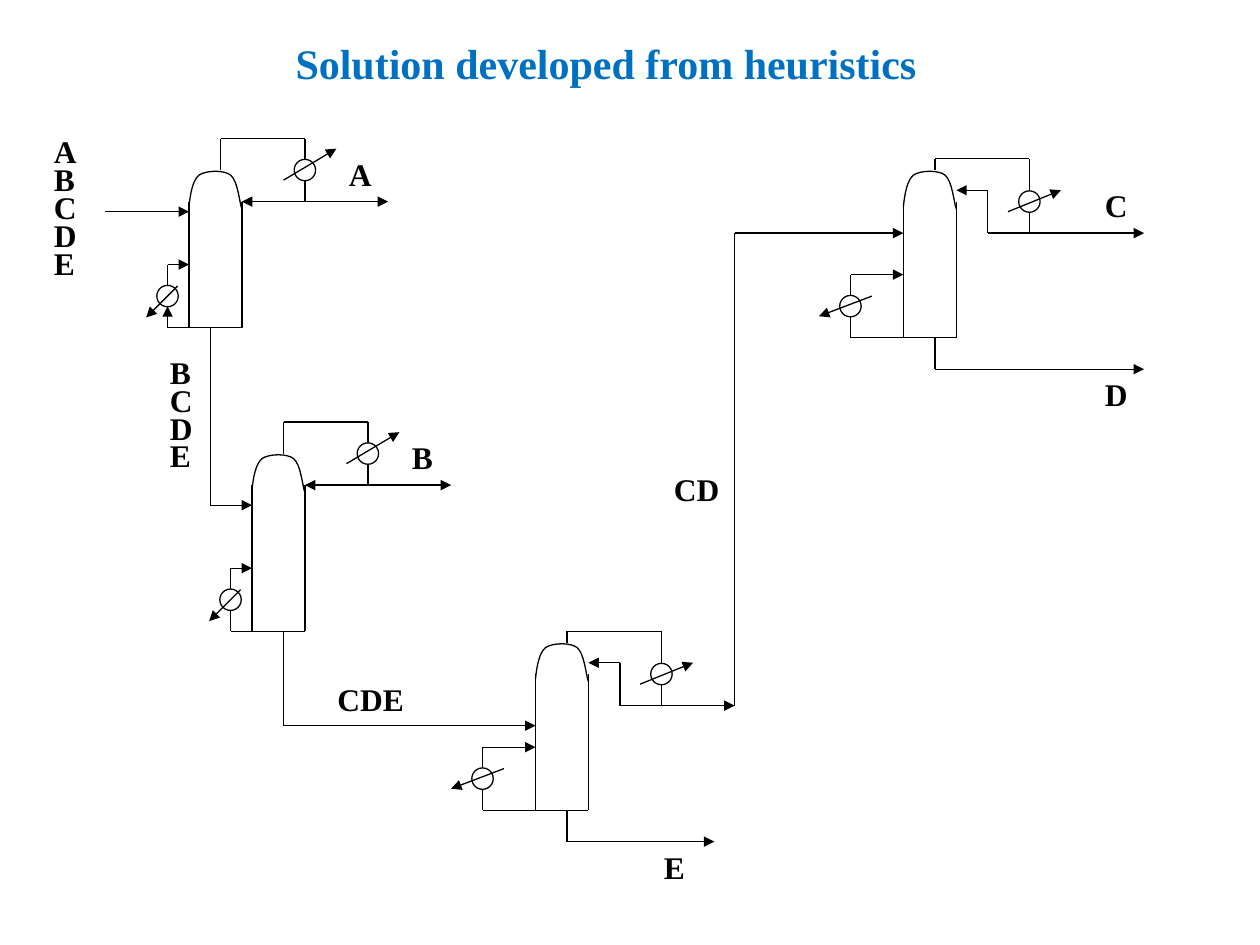
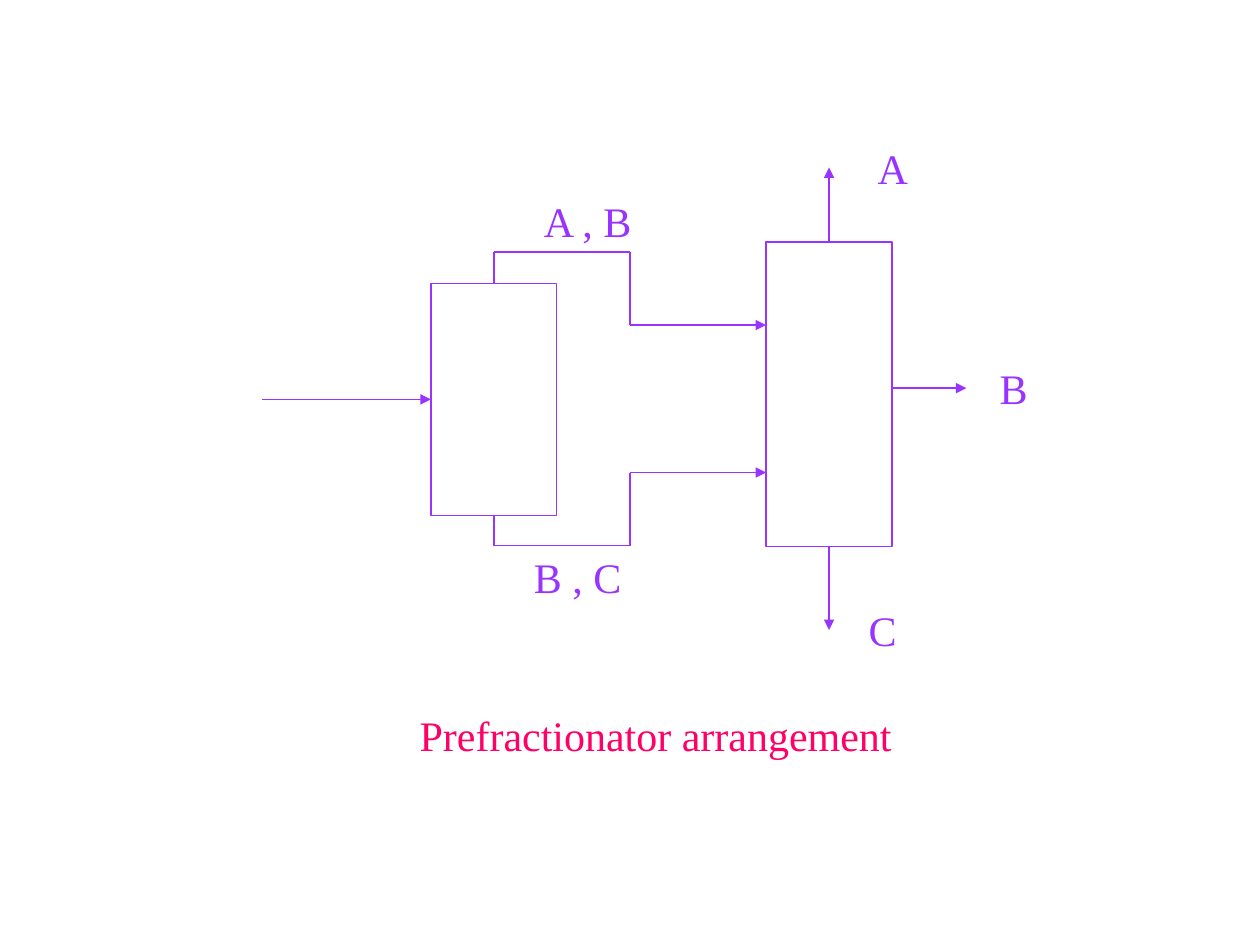
import dataclasses
import itertools
import typing

import lxml.etree
import pptx
import pptx.dml.color
import pptx.enum.shapes
import pptx.enum.text
import pptx.oxml.ns
import pptx.util

Inches = pptx.util.Inches
Point = tuple[float, float]
Joint = typing.Optional[tuple[typing.Any, int]]

FONT = "Times New Roman"
BLACK, WHITE, BLUE, VIOLET, PINK = "000000", "FFFFFF", "0070C0", "9933FF", "FF0066"
LINE_WIDTH = pptx.util.Pt(0.75)
TOP, LEFT, BOTTOM = 0, 1, 2
LEFT_ALIGN = pptx.enum.text.PP_ALIGN.LEFT
CENTER = pptx.enum.text.PP_ALIGN.CENTER

COLUMN_WIDTH = 0.42
EXCHANGER_SIZE = 0.17
DOME = [(0, 0.04), (0.01, -0.06), (0.03, -0.17), (0.08, -0.21), (0.14, -0.25),
        (0.28, -0.25), (0.33, -0.21), (0.39, -0.16), (0.4, 0.01), (0.42, 0.06)]


@dataclasses.dataclass
class Label:
    lines: str
    left: float
    top: float
    width: float
    height: float = 0.4


@dataclasses.dataclass
class TextStyle:
    size: float
    color: str
    bold: bool = False
    alignment: typing.Any = LEFT_ALIGN


@dataclasses.dataclass
class Pipe:
    points: list[Point]
    tail: bool = False
    head: bool = False
    begin: Joint = None
    end: Joint = None


@dataclasses.dataclass
class Exchanger:
    center: Point
    arrow: Pipe


@dataclasses.dataclass
class Column:
    left: float
    shoulder: float
    base: float
    top_pipes: list[Pipe]
    condenser: Exchanger
    bottom_pipes: list[Pipe]
    reboiler: Exchanger


def rgb(color: str) -> pptx.dml.color.RGBColor:
    return pptx.dml.color.RGBColor.from_string(color)


def write_text(box: typing.Any, label: Label, style: TextStyle) -> None:
    box.left, box.top = Inches(label.left), Inches(label.top)
    box.width, box.height = Inches(label.width), Inches(label.height)
    frame = box.text_frame
    frame.word_wrap = True
    frame.auto_size = pptx.enum.text.MSO_AUTO_SIZE.NONE
    frame.vertical_anchor = pptx.enum.text.MSO_ANCHOR.TOP
    lines = label.lines.split("\n")
    for index, line in enumerate(lines):
        para = frame.add_paragraph() if index else frame.paragraphs[0]
        para.alignment = style.alignment
        para.space_before = pptx.util.Pt(9.4 if index else 0)
        if len(lines) > 1:
            para.line_spacing = 0.3
        span = para.add_run()
        span.text = line
        span.font.name = FONT
        span.font.size = pptx.util.Pt(style.size)
        span.font.bold = style.bold
        span.font.color.rgb = rgb(style.color)


def add_label(page: typing.Any, label: Label, style: TextStyle) -> None:
    write_text(page.shapes.add_textbox(0, 0, 0, 0), label, style)


def outline(shape: typing.Any, color: str) -> None:
    shape.line.color.rgb = rgb(color)
    shape.line.width = LINE_WIDTH


def add_solid(page: typing.Any, kind: typing.Any, left: float, top: float,
              width: float, height: float, color: str) -> typing.Any:
    shape = page.shapes.add_shape(kind, Inches(left), Inches(top), Inches(width), Inches(height))
    shape.shadow.inherit = False
    shape.fill.solid()
    shape.fill.fore_color.rgb = rgb(WHITE)
    outline(shape, color)
    return shape


def draw_pipe(page: typing.Any, pipe: Pipe, color: str, origin: Point = (0, 0)) -> None:
    spots = [(Inches(origin[0] + x), Inches(origin[1] + y)) for x, y in pipe.points]
    last = len(spots) - 2
    for index, (start, finish) in enumerate(itertools.pairwise(spots)):
        connector = page.shapes.add_connector(
            pptx.enum.shapes.MSO_CONNECTOR.STRAIGHT, *start, *finish)
        outline(connector, color)
        properties = connector.element.spPr
        line = properties.find(pptx.oxml.ns.qn("a:ln"))
        for wanted, tag in ((pipe.head and index == 0, "a:headEnd"),
                            (pipe.tail and index == last, "a:tailEnd")):
            if wanted:
                lxml.etree.SubElement(line, pptx.oxml.ns.qn(tag), type="triangle")
        lxml.etree.SubElement(properties, pptx.oxml.ns.qn("a:effectLst"))
        if pipe.begin and index == 0:
            connector.begin_connect(*pipe.begin)
        if pipe.end and index == last:
            connector.end_connect(*pipe.end)


def curve(controls: list[Point], steps: int = 8) -> list[Point]:
    points = [controls[0]]
    for first in range(0, len(controls) - 1, 3):
        knots = controls[first:first + 4]
        for step in range(1, steps + 1):
            t = step / steps
            weights = ((1 - t) ** 3, 3 * t * (1 - t) ** 2, 3 * t * t * (1 - t), t ** 3)
            points.append((sum(w * x for w, (x, _) in zip(weights, knots)),
                           sum(w * y for w, (_, y) in zip(weights, knots))))
    return points


def draw_dome(page: typing.Any, left: float, shoulder: float) -> None:
    spots = [(Inches(left + x), Inches(shoulder + y)) for x, y in curve(DOME)]
    builder = page.shapes.build_freeform(*spots[0])
    builder.add_line_segments(spots[1:], close=False)
    dome = builder.convert_to_shape()
    dome.shadow.inherit = False
    dome.fill.background()
    outline(dome, BLACK)


def draw_exchanger(page: typing.Any, exchanger: Exchanger, origin: Point) -> None:
    x, y = origin[0] + exchanger.center[0], origin[1] + exchanger.center[1]
    add_solid(page, pptx.enum.shapes.MSO_SHAPE.OVAL, x - EXCHANGER_SIZE / 2,
              y - EXCHANGER_SIZE / 2, EXCHANGER_SIZE, EXCHANGER_SIZE, BLACK)
    draw_pipe(page, exchanger.arrow, BLACK, (x, y))


def draw_column(page: typing.Any, column: Column) -> None:
    top, bottom = (column.left, column.shoulder), (column.left, column.base)
    height = column.base - column.shoulder
    shell = Pipe([(0, 0), (0, height), (COLUMN_WIDTH, height), (COLUMN_WIDTH, 0)])
    draw_pipe(page, shell, BLACK, top)
    draw_dome(page, *top)
    for pipes, exchanger, origin in ((column.top_pipes, column.condenser, top),
                                     (column.bottom_pipes, column.reboiler, bottom)):
        for pipe in pipes:
            draw_pipe(page, pipe, BLACK, origin)
        draw_exchanger(page, exchanger, origin)


def reboiler_pipes(reach: float, arrow_in: bool = False) -> list[Pipe]:
    return [Pipe([(0, 0), (-reach, 0), (-reach, -0.17)], tail=arrow_in),
            Pipe([(-reach, -0.33), (-reach, -0.5), (0, -0.5)], tail=True)]


def light_column(left: float, shoulder: float, base: float, arrow_in: bool) -> Column:
    return Column(
        left, shoulder, base,
        [Pipe([(1.58, 0), (COLUMN_WIDTH, 0)], tail=True, head=True),
         Pipe([(0.92, 0), (0.92, -0.17)]),
         Pipe([(0.92, -0.33), (0.92, -0.5), (0.25, -0.5), (0.25, -0.25)])],
        Exchanger((0.92, -0.25), Pipe([(-0.17, 0.08), (0.25, -0.17)], tail=True)),
        reboiler_pipes(0.17, arrow_in),
        Exchanger((-0.17, -0.25), Pipe([(0.08, -0.08), (-0.17, 0.17)], tail=True)))


def heavy_column(left: float, shoulder: float, base: float,
                 distillate_end: float, bottoms_end: float) -> Column:
    return Column(
        left, shoulder, base,
        [Pipe([(0.67, -0.09), (COLUMN_WIDTH, -0.09)], tail=True),
         Pipe([(0.67, -0.09), (0.67, 0.25), (distillate_end - left, 0.25)], tail=True),
         Pipe([(1, 0.25), (1, 0.08)]),
         Pipe([(1, -0.09), (1, -0.34), (0.25, -0.34), (0.25, -0.25)])],
        Exchanger((1, 0), Pipe([(-0.17, 0.08), (0.25, -0.09)], tail=True)),
        reboiler_pipes(0.42)
        + [Pipe([(0.25, 0), (0.25, 0.25), (bottoms_end - left, 0.25)], tail=True)],
        Exchanger((-0.42, -0.25), Pipe([(0.17, -0.08), (-0.25, 0.08)], tail=True)))


def add_page(deck: typing.Any, title: Label, style: TextStyle) -> typing.Any:
    page = deck.slides.add_slide(deck.slide_layouts[5])
    page.background.fill.solid()
    page.background.fill.fore_color.rgb = rgb(WHITE)
    write_text(page.shapes.title, title, style)
    return page


def build_heuristics(deck: typing.Any) -> None:
    page = add_page(deck, Label("Solution developed from heuristics", 2.18, 0.25, 5.26, 0.51),
                    TextStyle(24, BLUE, True, CENTER))
    for column in (light_column(1.5, 1.6, 2.6, True),
                   light_column(2, 3.85, 5.01, False),
                   heavy_column(4.25, 5.35, 6.43, 5.83, 5.67),
                   heavy_column(7.17, 1.6, 2.68, 9.08, 9.08)):
        draw_column(page, column)
    for stream in ([(0.83, 1.68), (1.5, 1.68)],
                   [(1.67, 2.6), (1.67, 4.01), (2, 4.01)],
                   [(2.25, 5.01), (2.25, 5.76), (4.25, 5.76)],
                   [(5.83, 5.6), (5.83, 1.85), (7.17, 1.85)]):
        draw_pipe(page, Pipe(stream, tail=True), BLACK)
    for label in (Label("A\nB\nC\nD\nE", 0.33, 1.18, 0.42, 1.2),
                  Label("B\nC\nD\nE", 1.25, 2.93, 0.42, 0.96),
                  Label("A", 2.67, 1.18, 0.58),
                  Label("B", 3.17, 3.43, 0.58),
                  Label("CDE", 2.58, 5.35, 0.92),
                  Label("CD", 5.25, 3.68, 0.75),
                  Label("C", 8.67, 1.43, 0.5),
                  Label("D", 8.67, 2.93, 0.5),
                  Label("E", 5.17, 6.68, 0.5)):
        add_label(page, label, TextStyle(18, BLACK, True))


def build_prefractionator(deck: typing.Any) -> None:
    page = add_page(deck, Label("Prefractionator arrangement", 2.33, 5.58, 5.75, 0.51),
                    TextStyle(24, PINK, False, CENTER))
    rectangle = pptx.enum.shapes.MSO_SHAPE.RECTANGLE
    prefractionator = add_solid(page, rectangle, 3.42, 2.25, 1, 1.84, VIOLET)
    main_column = add_solid(page, rectangle, 6.08, 1.92, 1, 2.42, VIOLET)
    for pipe in (
            Pipe([(2.08, 3.17), (3.42, 3.17)], tail=True, end=(prefractionator, LEFT)),
            Pipe([(3.92, 2.25), (3.92, 2), (5, 2), (5, 2.58), (6.08, 2.58)],
                 tail=True, begin=(prefractionator, TOP)),
            Pipe([(3.92, 4.09), (3.92, 4.33), (5, 4.33), (5, 3.75), (6.08, 3.75)],
                 tail=True, begin=(prefractionator, BOTTOM)),
            Pipe([(6.58, 1.92), (6.58, 1.33)], tail=True, begin=(main_column, TOP)),
            Pipe([(6.58, 4.34), (6.58, 5)], tail=True, begin=(main_column, BOTTOM)),
            Pipe([(7.08, 3.08), (7.67, 3.08)], tail=True)):
        draw_pipe(page, pipe, VIOLET)
    for label in (Label("A , B", 4, 1.5, 1.33, 0.5),
                  Label("B , C", 3.92, 4.33, 1.33, 0.5),
                  Label("A", 6.67, 1.08, 0.83, 0.5),
                  Label("B", 7.67, 2.83, 0.75, 0.5),
                  Label("C", 6.67, 4.75, 0.67, 0.5)):
        add_label(page, label, TextStyle(24, VIOLET, False, CENTER))


def main() -> None:
    deck = pptx.Presentation()
    deck.slide_width, deck.slide_height = Inches(10), Inches(7.5)
    build_heuristics(deck)
    build_prefractionator(deck)
    deck.save("out.pptx")


if __name__ == "__main__":
    main()
